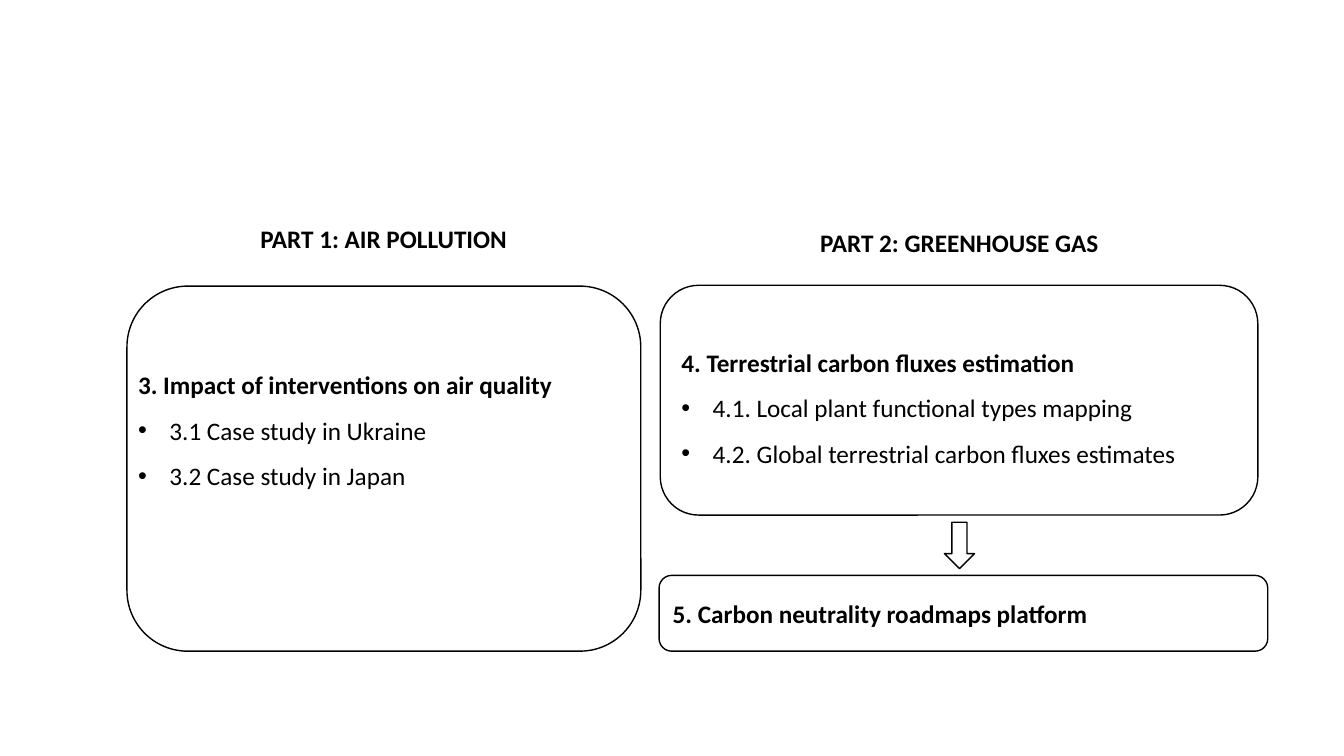
"""Build the thesis outline slide with its two parts and their chapters."""
from dataclasses import dataclass

from pptx import Presentation
from pptx.dml.color import RGBColor
from pptx.enum.shapes import MSO_SHAPE
from pptx.enum.text import MSO_ANCHOR, PP_ALIGN
from pptx.oxml.ns import qn
from pptx.shapes.autoshape import Shape
from pptx.slide import Slide
from pptx.util import Cm, Pt
from lxml import etree

ROUNDED = MSO_SHAPE.ROUNDED_RECTANGLE
DOWN_ARROW = MSO_SHAPE.DOWN_ARROW
TOP, MIDDLE = MSO_ANCHOR.TOP, MSO_ANCHOR.MIDDLE
LEFT, CENTER = PP_ALIGN.LEFT, PP_ALIGN.CENTER

COLORS = {"ink": "000000"}
FONT = "Calibri"
TEXT_SIZE = Pt(18)
BULLET_INDENT = Cm(0.79)
BLANK_LAYOUT = 6


@dataclass(frozen=True)
class Area:
    """A place on the slide in centimetres."""
    left: float
    top: float
    width: float
    height: float

    def lengths(self) -> tuple[Cm, Cm, Cm, Cm]:
        """Return left, top, width and height as lengths."""
        return Cm(self.left), Cm(self.top), Cm(self.width), Cm(self.height)


@dataclass(frozen=True)
class Chapter:
    """A bold chapter title with its bulleted sections."""
    title: str
    sections: tuple[str, ...] = ()
    line_spacing: float = 1.0
    align: PP_ALIGN = LEFT


@dataclass(frozen=True)
class Outline:
    """An outlined shape, with a chapter inside if there is one."""
    area: Area
    preset: MSO_SHAPE = ROUNDED
    chapter: Chapter | None = None


@dataclass(frozen=True)
class Label:
    """Text without an outline."""
    area: Area
    chapter: Chapter


OUTLINES = (
    Outline(Area(16.64, 7.19, 15.06, 5.79), chapter=Chapter(
        "4. Terrestrial carbon fluxes estimation",
        ("4.1. Local plant functional types mapping",
         "4.2. Global terrestrial carbon fluxes estimates"), 1.5)),
    Outline(Area(16.61, 14.5, 15.34, 1.91), chapter=Chapter(
        "5. Carbon neutrality roadmaps platform")),
    Outline(Area(3.2, 7.21, 12.95, 9.2)),
    Outline(Area(23.8, 13.16, 0.76, 1.17), DOWN_ARROW),
)

LABELS = (
    Label(Area(3.18, 5.51, 12.98, 1.75),
          Chapter("PART 1: AIR POLLUTION", align=CENTER)),
    Label(Area(16.66, 5.61, 15.04, 1.75),
          Chapter("PART 2: GREENHOUSE GAS", align=CENTER)),
    Label(Area(3.23, 8.81, 14.33, 6.12), Chapter(
        "3. Impact of interventions on air quality",
        ("3.1 Case study in Ukraine", "3.2 Case study in Japan"), 1.5)),
)


def write_chapter(holder: Shape, chapter: Chapter, anchor: MSO_ANCHOR) -> None:
    """Write a chapter title and its bulleted sections into a shape."""
    frame = holder.text_frame
    frame.word_wrap = True
    frame.vertical_anchor = anchor
    for index, wording in enumerate((chapter.title, *chapter.sections)):
        paragraph = frame.add_paragraph() if index else frame.paragraphs[0]
        paragraph.alignment = chapter.align
        paragraph.line_spacing = chapter.line_spacing
        run = paragraph.add_run()
        run.text = wording
        run.font.name = FONT
        run.font.size = TEXT_SIZE
        run.font.bold = index == 0
        run.font.color.rgb = RGBColor.from_string(COLORS["ink"])
        if index:
            properties = paragraph._p.get_or_add_pPr()
            properties.set("marL", str(BULLET_INDENT))
            properties.set("indent", str(-BULLET_INDENT))
            etree.SubElement(properties, qn("a:buFont"), typeface="Arial")
            etree.SubElement(properties, qn("a:buChar"), char="•")


def draw_outline(slide: Slide, outline: Outline) -> None:
    """Draw an unfilled shape with a thin line."""
    frame = slide.shapes.add_shape(outline.preset, *outline.area.lengths())
    frame.shadow.inherit = False
    frame.fill.background()
    frame.line.color.rgb = RGBColor.from_string(COLORS["ink"])
    frame.line.width = Pt(1)
    if outline.chapter:
        write_chapter(frame, outline.chapter, MIDDLE)


def draw_label(slide: Slide, label: Label) -> None:
    """Draw a text box with its chapter."""
    write_chapter(slide.shapes.add_textbox(*label.area.lengths()),
                  label.chapter, TOP)


def main() -> None:
    """Build and save the slide."""
    deck = Presentation()
    deck.slide_width, deck.slide_height = Cm(33.87), Cm(19.05)
    slide = deck.slides.add_slide(deck.slide_layouts[BLANK_LAYOUT])
    for outline in OUTLINES:
        draw_outline(slide, outline)
    for label in LABELS:
        draw_label(slide, label)
    deck.save("out.pptx")


if __name__ == "__main__":
    main()
